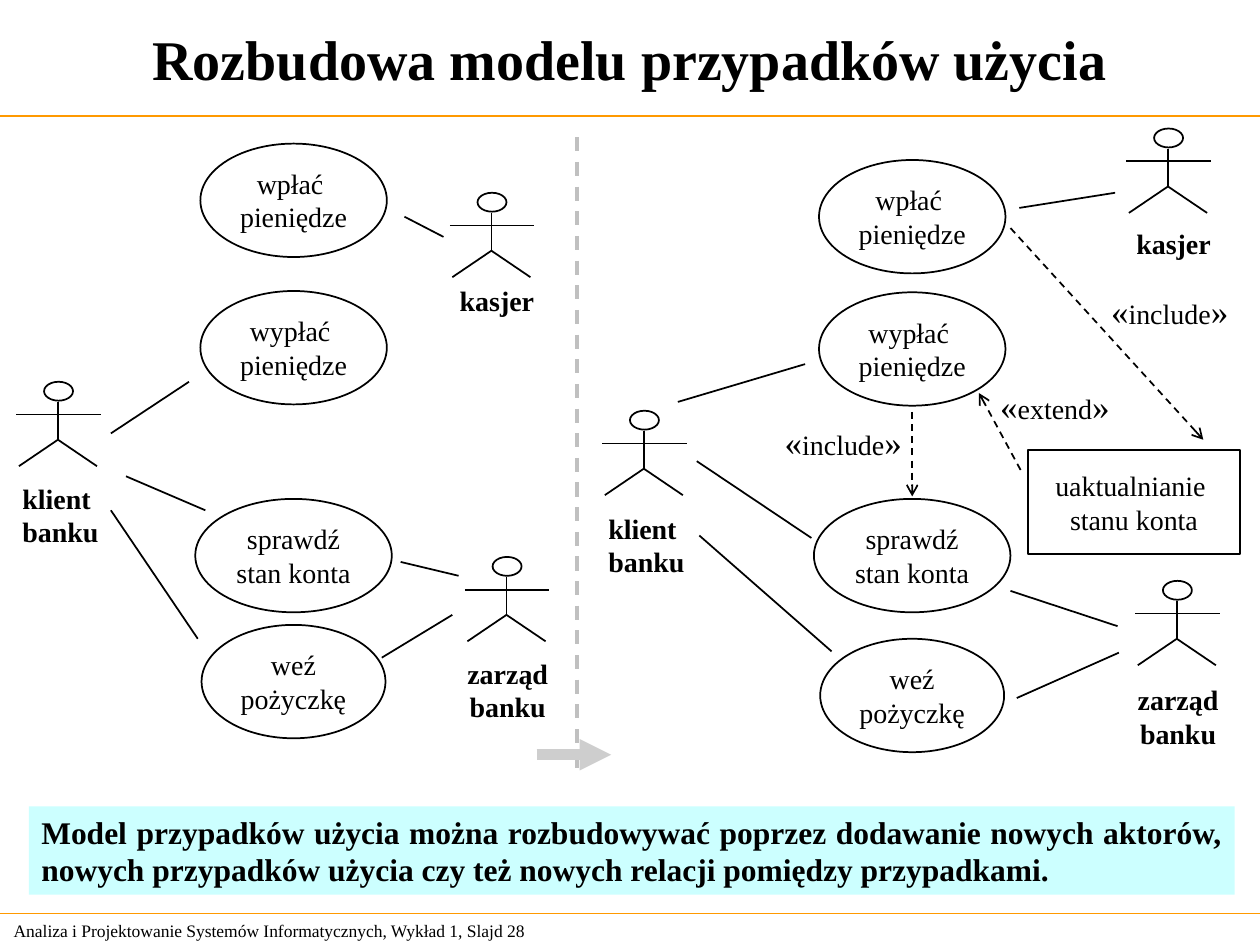
from dataclasses import dataclass
from itertools import groupby

from pptx import Presentation
from pptx.dml.color import RGBColor
from pptx.enum.dml import MSO_LINE_DASH_STYLE as Dash
from pptx.enum.shapes import MSO_CONNECTOR, MSO_SHAPE
from pptx.enum.text import MSO_ANCHOR as Anchor, MSO_AUTO_SIZE, PP_ALIGN as Align
from pptx.oxml.ns import qn
from pptx.util import Inches, Pt

BLACK = RGBColor(0x00, 0x00, 0x00)
WHITE = RGBColor(0xFF, 0xFF, 0xFF)
ORANGE = RGBColor(0xFF, 0x99, 0x00)
CYAN = RGBColor(0xCC, 0xFF, 0xFF)
SILVER = RGBColor(0xC0, 0xC0, 0xC0)
GREY = RGBColor(0xCE, 0xCE, 0xCE)
FONT = "Times New Roman"

# The slide is a grid of 100 columns by 75 rows
COLS, ROWS = 100, 75
prs = Presentation()
prs.slide_width, prs.slide_height = Inches(10), Inches(7.5)
COL, ROW = prs.slide_width / COLS, prs.slide_height / ROWS


@dataclass
class UseCase:
    text: str
    width: float


@dataclass
class Role:
    text: str
    dx: float  # label's left edge from the actor's axis
    width: float
    height: float
    align: Align


@dataclass
class Actor:
    role: Role
    cx: float
    top: float
    label_top: float


@dataclass
class Panel:
    cx: float
    case_tops: tuple
    actors: tuple
    links: tuple


def place(col: float, row: float, width: float, height: float) -> tuple:
    """Turn grid units into slide lengths."""
    return round(col * COL), round(row * ROW), round(width * COL), round(height * ROW)


def write(tf, text: str, *, size=16, quote_size=20, bold=False, align=Align.LEFT,
          anchor=Anchor.TOP, wrap=False) -> None:
    """Write one paragraph per line; guillemets get their own size."""
    tf.auto_size = MSO_AUTO_SIZE.NONE
    tf.word_wrap, tf.vertical_anchor = wrap, anchor
    for i, row in enumerate(text.split("\n")):
        p = tf.add_paragraph() if i else tf.paragraphs[0]
        p.alignment = align
        for is_quote, chars in groupby(row, key=lambda c: c in "«»"):
            r = p.add_run()
            r.text = "".join(chars)
            r.font.name, r.font.bold = FONT, bold
            r.font.size = Pt(quote_size if is_quote else size)
            r.font.color.rgb = BLACK


def add_label(shapes, box: tuple, text: str, **fmt) -> None:
    write(shapes.add_textbox(*place(*box)).text_frame, text, **fmt)


def add_box(shapes, kind, box: tuple, text="", *, fill=None, line=BLACK, **fmt) -> None:
    s = shapes.add_shape(kind, *place(*box))
    s.shadow.inherit = False
    if fill is None:
        s.fill.background()
    else:
        s.fill.solid()
        s.fill.fore_color.rgb = fill
    if line is None:
        s.line.fill.background()
    else:
        s.line.color.rgb, s.line.width = line, Pt(1)
    if text:
        write(s.text_frame, text, **fmt)


def add_line(shapes, ends: tuple, *, color=BLACK, width=1, dashed=False, head=None) -> None:
    s = shapes.add_connector(MSO_CONNECTOR.STRAIGHT, *place(*ends))
    s.line.color.rgb, s.line.width = color, Pt(width)
    if dashed:
        s.line.dash_style = Dash.DASH
    if head:
        ln = s.line._get_or_add_ln()
        ln.append(ln.makeelement(qn("a:tailEnd"), {"type": head}))
    sp_pr = s._element.spPr
    sp_pr.append(sp_pr.makeelement(qn("a:effectLst"), {}))


def add_actor(shapes, actor: Actor) -> None:
    cx, top, role = actor.cx, actor.top, actor.role
    figure = shapes.add_group_shape().shapes
    add_box(figure, MSO_SHAPE.OVAL, (cx - 1.1, top, 2.3, 1.5))
    add_line(figure, (cx, top + 1.6, cx, top + 4.6))
    add_line(figure, (cx - 3.3, top + 2.6, cx + 3.4, top + 2.6))
    for side in (1, -1):
        add_line(figure, (cx, top + 4.6, cx + side * 3.1, top + 6.7))
    add_label(shapes, (cx + role.dx, actor.label_top, role.width, role.height),
              role.text, bold=True, align=role.align)


def add_panel(shapes, panel: Panel) -> None:
    for case, top in zip(USE_CASES, panel.case_tops):
        box = (panel.cx - case.width / 2, top, case.width, 9)
        add_box(shapes, MSO_SHAPE.OVAL, box, case.text, align=Align.CENTER)
    for actor in panel.actors:
        add_actor(shapes, actor)
    for ends in panel.links:
        add_line(shapes, ends)


USE_CASES = (
    UseCase("wpłać \npieniędze", 14.8),
    UseCase("wypłać \npieniędze", 14.8),
    UseCase("sprawdź\nstan konta", 15.6),
    UseCase("weź\npożyczkę", 14.6),
)
CASHIER = Role("kasjer", -3.5, 7.9, 3.7, Align.LEFT)
CLIENT = Role("klient\nbanku", -3.8, 8, 6.4, Align.LEFT)
BOARD = Role("zarząd\nbanku", -4.1, 8.4, 6.4, Align.CENTER)

BEFORE = Panel(
    23.3, (11.4, 23.1, 39.6, 49.6),
    (Actor(CASHIER, 39, 15.3, 22), Actor(CLIENT, 4.6, 30.3, 37.7),
     Actor(BOARD, 40.2, 44.2, 51.6)),
    ((8.8, 34.4, 15, 30.3), (31.8, 44.6, 36.4, 45.7), (10, 37.8, 16.3, 40.5),
     (8.8, 40.5, 15.7, 50.7), (32.1, 17.2, 35.2, 18.8), (35.9, 48.8, 30.3, 52.2)),
)
AFTER = Panel(
    72.4, (12.7, 23.2, 39.6, 50.7),
    (Actor(CASHIER, 92.7, 10.2, 17.5), Actor(CLIENT, 51.1, 32.6, 40.1),
     Actor(BOARD, 93.4, 46.1, 53.7)),
    ((53.8, 31.9, 63.9, 28.9), (80.2, 46.9, 88.7, 49.7), (55.3, 36.6, 64.4, 42.7),
     (55.5, 42.5, 66, 51.7), (80.9, 16.5, 88.5, 15.3), (88.8, 51.8, 80.7, 55.4)),
)
DEPENDENCIES = ((72.4, 32.7, 72.4, 39.4), (81, 37.3, 77.7, 31.2), (80.2, 18.1, 95.5, 34.9))
STEREOTYPES = (
    ("«include»", (61.3, 32.9, 11.3, 4.4)),
    ("«include»", (87.2, 22.5, 11.3, 4.4)),
    ("«extend»", (78.4, 30, 10.7, 4.4)),
)

slide = prs.slides.add_slide(prs.slide_layouts[5])
shapes = slide.shapes

# Title, rules and footer
title = shapes.title
title.left, title.top, title.width, title.height = place(0, 0, COLS, 9.2)
write(title.text_frame, "Rozbudowa modelu przypadków użycia", size=32, bold=True,
      align=Align.CENTER, anchor=Anchor.MIDDLE, wrap=True)
for row in (9.2, 72.5):
    add_line(shapes, (0, row, COLS, row), color=ORANGE, width=0.75)
add_label(shapes, (0.1, 72.5, 47.5, 2.7),
          "Analiza i Projektowanie Systemów Informatycznych, Wykład 1, Slajd 28",
          size=10, anchor=Anchor.MIDDLE, wrap=True)

# Conclusion
add_box(shapes, MSO_SHAPE.RECTANGLE, (2.3, 64, 95.7, 7),
        "Model przypadków użycia można rozbudowywać poprzez dodawanie nowych aktorów, "
        "nowych przypadków użycia czy też nowych relacji pomiędzy przypadkami.",
        fill=CYAN, line=None, size=18, bold=True, align=Align.JUSTIFY, wrap=True)

# Divider and the step from one model to the next
add_line(shapes, (45.8, 10.9, 45.8, 61.6), color=SILVER, width=2, dashed=True)
add_line(shapes, (42.6, 59.9, 48.5, 59.9), color=GREY, width=6, head="triangle")

# Both models
for panel in (BEFORE, AFTER):
    add_panel(shapes, panel)

# Relations added to the second model
add_box(shapes, MSO_SHAPE.RECTANGLE, (81.6, 35.7, 16.8, 8.3),
        "uaktualnianie \nstanu konta", fill=WHITE, align=Align.CENTER, anchor=Anchor.MIDDLE)
for ends in DEPENDENCIES:
    add_line(shapes, ends, dashed=True, head="arrow")
for text, box in STEREOTYPES:
    add_label(shapes, box, text)

prs.save("out.pptx")
